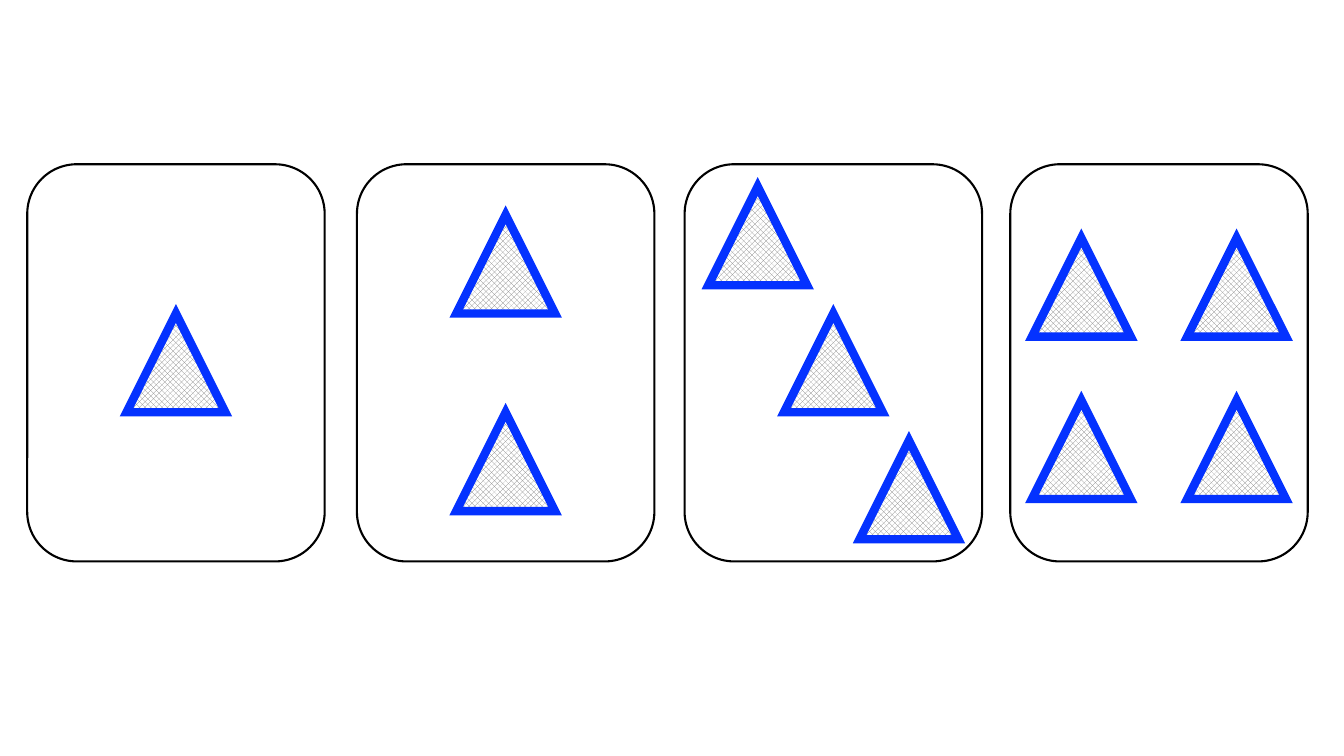
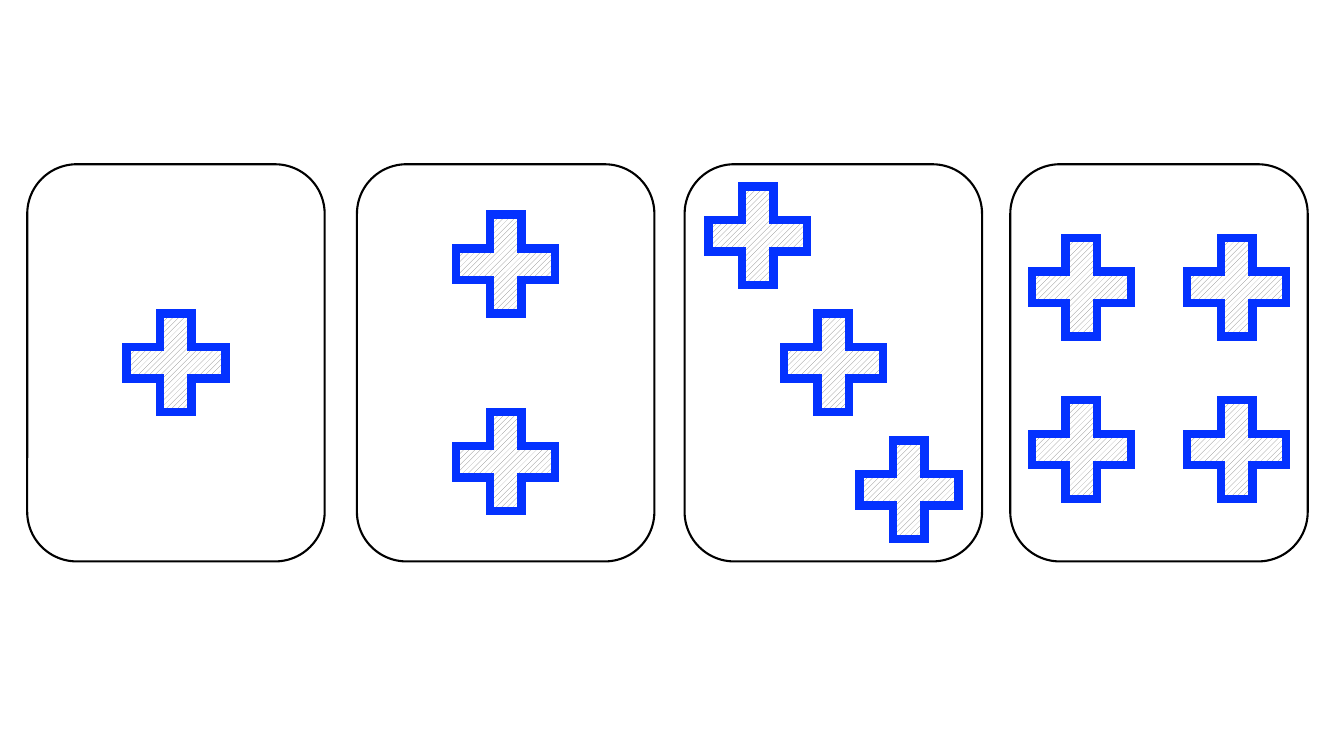
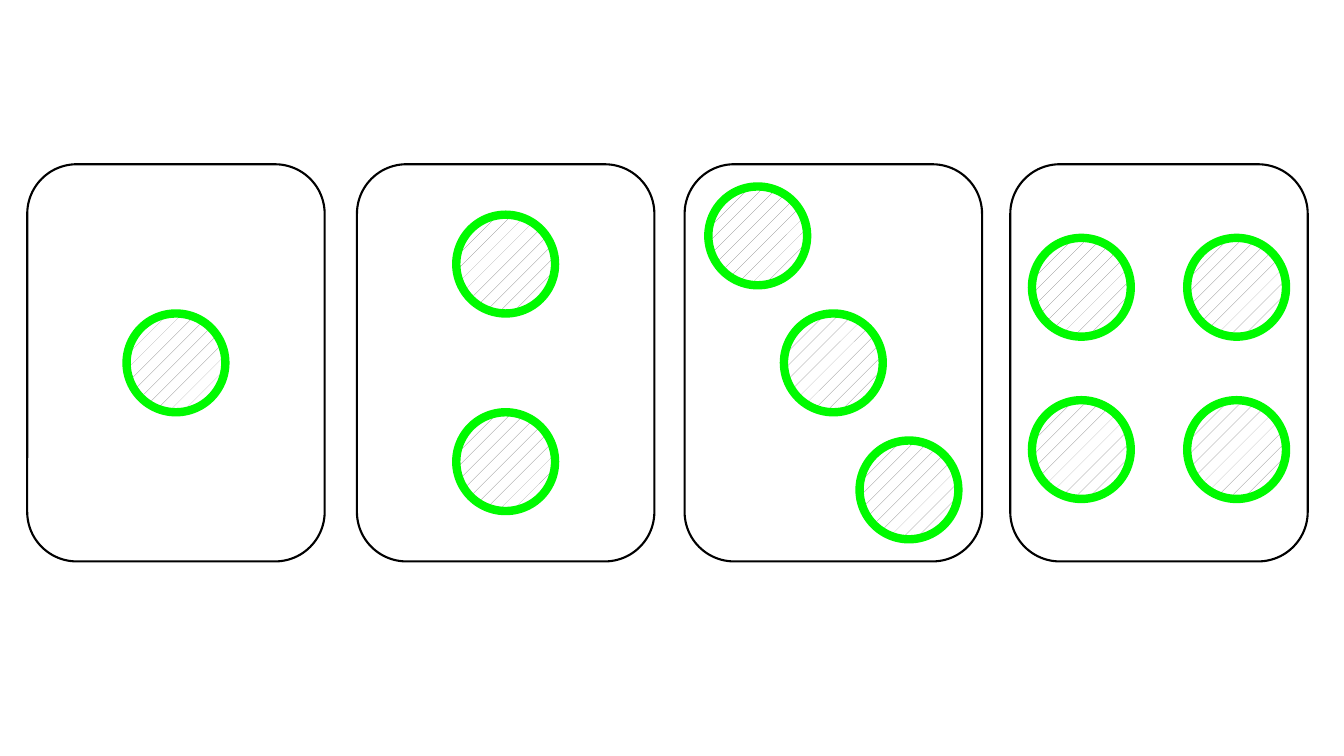
from dataclasses import dataclass

from lxml.etree import SubElement
from pptx import Presentation
from pptx.dml.color import RGBColor
from pptx.enum.dml import MSO_PATTERN
from pptx.enum.shapes import MSO_SHAPE
from pptx.oxml.ns import qn
from pptx.util import Inches, Pt


@dataclass(frozen=True)
class Theme:
    """Colours and line widths shared by all slides."""
    paper: str = "FFFFFF"
    ink: str = "000000"
    hatch: str = "808080"
    blue: str = "0432FF"
    green: str = "00FA00"
    card_line: float = 1.5
    symbol_line: float = 6


THEME = Theme()

# One slide for each symbol: outline, adjustments, pattern, line colour
SYMBOLS = [
    (MSO_SHAPE.ISOSCELES_TRIANGLE, [], MSO_PATTERN.SOLID_DIAMOND, THEME.blue),
    (MSO_SHAPE.CROSS, [0.341], MSO_PATTERN.WIDE_UPWARD_DIAGONAL, THEME.blue),
    (MSO_SHAPE.OVAL, [], MSO_PATTERN.PERCENT_5, THEME.green),
]

# Left edge of each card, with symbol centres relative to the card centre
CARDS = [
    (0.27, [(0, 0)]),
    (3.54, [(0, -0.98), (0, 0.98)]),
    (6.79, [(-0.75, -1.26), (0, 0), (0.75, 1.26)]),
    (10.02, [(x, y) for y in (-0.75, 0.86) for x in (-0.77, 0.77)]),
]
CARD_TOP, CARD_WIDTH, CARD_HEIGHT = 1.63, 2.95, 3.94
SYMBOL_SIZE = 0.98


def add_outlined_shape(slide, outline, box, line_color, line_width):
    """Add a shape without shadow and with a sharp-cornered line."""
    shape = slide.shapes.add_shape(outline, *map(Inches, box))
    shape.shadow.inherit = False
    shape.line.color.rgb = RGBColor.from_string(line_color)
    shape.line.width = Pt(line_width)
    line = shape.element.spPr.find(qn("a:ln"))
    SubElement(line, qn("a:miter")).set("lim", "800000")
    return shape


def add_card(slide, left):
    """Add one blank rounded card."""
    box = (left, CARD_TOP, CARD_WIDTH, CARD_HEIGHT)
    card = add_outlined_shape(slide, MSO_SHAPE.ROUNDED_RECTANGLE, box,
                              THEME.ink, THEME.card_line)
    card.fill.solid()
    card.fill.fore_color.rgb = RGBColor.from_string(THEME.paper)


def add_symbol(slide, symbol, center_x, center_y):
    """Add one patterned symbol around a centre point."""
    outline, adjustments, pattern, color = symbol
    box = (center_x - SYMBOL_SIZE / 2, center_y - SYMBOL_SIZE / 2,
           SYMBOL_SIZE, SYMBOL_SIZE)
    shape = add_outlined_shape(slide, outline, box, color, THEME.symbol_line)
    for index, value in enumerate(adjustments):
        shape.adjustments[index] = value
    shape.fill.patterned()
    shape.fill.pattern = pattern
    shape.fill.fore_color.rgb = RGBColor.from_string(THEME.hatch)
    shape.fill.back_color.rgb = RGBColor.from_string(THEME.paper)


def add_card_slide(presentation, symbol):
    """Add a slide with cards that carry one to four symbols."""
    slide = presentation.slides.add_slide(presentation.slide_layouts[6])
    center_y = CARD_TOP + CARD_HEIGHT / 2
    for left, offsets in CARDS:
        add_card(slide, left)
        center_x = left + CARD_WIDTH / 2
        for offset_x, offset_y in offsets:
            add_symbol(slide, symbol, center_x + offset_x, center_y + offset_y)


presentation = Presentation()
presentation.slide_width = Inches(13.33)
presentation.slide_height = Inches(7.5)
for symbol in SYMBOLS:
    add_card_slide(presentation, symbol)
presentation.save("out.pptx")
